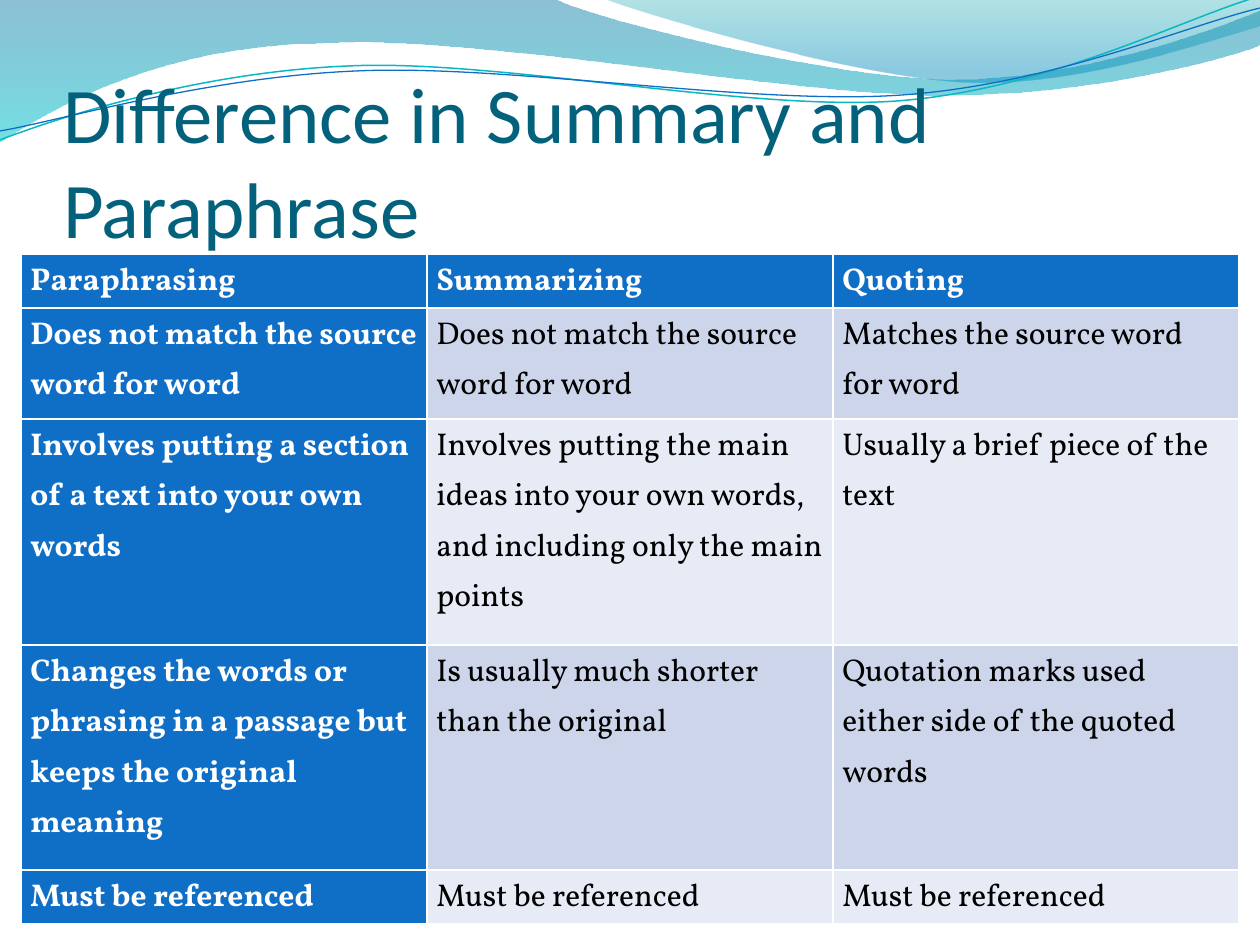
import math

from lxml import etree
from pptx import Presentation
from pptx.dml.color import RGBColor
from pptx.enum import text
from pptx.oxml import ns
from pptx.util import Pt

EMU_PER_PX = 914400 / 126

WHITE = RGBColor(0xFF, 0xFF, 0xFF)
BLACK = RGBColor(0, 0, 0)
BLUE = RGBColor(0x0F, 0x6F, 0xC6)
TEAL = RGBColor(0x0A, 0xB8, 0xBF)
TITLE_COLOR = RGBColor(0x04, 0x61, 0x7B)
BANDS = [RGBColor(0xCC, 0xD5, 0xEA), RGBColor(0xE7, 0xEB, 0xF5)]

TITLE = "Difference in Summary and Paraphrase"
ROWS = [
    ("Paraphrasing", "Summarizing", "Quoting"),
    ("Does not match the source word for word",
     "Does not match the source word for word",
     "Matches the source word for word"),
    ("Involves putting a section of a text into your own words",
     "Involves putting the main ideas into your own words, and including only the main points",
     "Usually a brief piece of the text"),
    ("Changes the words or phrasing in a passage but keeps the original meaning",
     "Is usually much shorter than the original",
     "Quotation marks used either side of the quoted words"),
    ("Must be referenced",) * 3,
]
TABLE_LEFT, TABLE_TOP, COLUMN_WIDTH = 21, 254, 406
ROW_HEIGHTS = [54, 111, 226, 225, 54]

# Outlines in px: a single pair is a straight step, three pairs are a Bezier curve.
# Gradient stops: position, colour, opacity in percent.
WAVES = [
    {"start": (0, 0),
     "steps": [[(554, -1)],
               [(600, 21), (837, 79), (955, 79)],
               [(1075, 79), (1207, 33), (1260, 11)],
               [(1261, 45)],
               [(1239, 55), (1096, 96), (940, 95)],
               [(783, 95), (481, 35), (324, 43)],
               [(163, 45), (58, 105), (-1, 142)],
               [(0, 0)]],
     "stops": [(0, RGBColor(0x00, 0x74, 0xA1), 45), (1, RGBColor(0x00, 0xC6, 0xCF), 55)]},
    {"start": (604, -1),
     "steps": [[(641, 14), (859, 78), (969, 82)],
               [(1079, 86), (1211, 40), (1260, 26)],
               [(1260, 0)],
               [(604, -1)]],
     "stops": [(0, RGBColor(0x00, 0xA1, 0xA9), 30), (0.8, RGBColor(0x00, 0x8B, 0xBF), 45)]},
    {"start": (0, 140),
     "steps": [[(60, 117), (199, 72), (349, 66)],
               [(498, 59), (747, 112), (898, 101)],
               [(1050, 89), (1182, 19), (1257, -3)]],
     "line": (TEAL, 0.85), "rotation": 357.3},
    {"start": (0, 131),
     "steps": [[(59, 121), (207, 77), (357, 71)],
               [(508, 64), (753, 106), (903, 95)],
               [(1053, 84), (1185, 26), (1260, 8)]],
     "line": (BLUE, 0.75), "rotation": 357.3},
]


def px(value):
    return round(value * EMU_PER_PX)


def turn(point, degrees):
    """Turn a point clockwise about the slide's top left corner."""
    x, y = point
    cos, sin = math.cos(math.radians(degrees)), math.sin(math.radians(degrees))
    return x * cos - y * sin, x * sin + y * cos


def bend(shape, steps):
    """Join each run of three straight segments that stands for a curve."""
    segments = iter(list(shape._element.iter(ns.qn("a:lnTo"))))
    for step in steps:
        parts = [next(segments) for _ in step]
        if len(step) == 3:
            curve = etree.Element(ns.qn("a:cubicBezTo"))
            parts[0].addprevious(curve)
            for part in parts:
                curve.append(part[0])
                part.getparent().remove(part)


def add_wave(slide, wave):
    rotation = wave.get("rotation", 0)
    points = [wave["start"]] + [point for step in wave["steps"] for point in step]
    points = [tuple(map(px, turn(point, -rotation))) for point in points]
    builder = slide.shapes.build_freeform(*points[0], scale=1.0)
    builder.add_line_segments(points[1:], close="stops" in wave)
    shape = builder.convert_to_shape()
    bend(shape, wave["steps"])
    shape.shadow.inherit = False
    if "line" in wave:
        center = shape.left + shape.width / 2, shape.top + shape.height / 2
        x, y = turn(center, rotation)
        shape.left, shape.top = round(x - shape.width / 2), round(y - shape.height / 2)
        shape.rotation = rotation
        color, width = wave["line"]
        shape.fill.background()
        shape.line.color.rgb = color
        shape.line.width = Pt(width)
        return
    shape.line.fill.background()
    shape.fill.gradient()
    shape.fill.gradient_angle = 270
    for stop, (position, color, _) in zip(shape.fill.gradient_stops, wave["stops"]):
        stop.position = position
        stop.color.rgb = color
    colors = shape._element.spPr.iter(ns.qn("a:srgbClr"))
    for element, (_, _, opacity) in zip(colors, wave["stops"]):
        etree.SubElement(element, ns.qn("a:alpha"), val=str(opacity * 1000))


def format_font(font, color, **settings):
    font.color.rgb = color
    for name, value in settings.items():
        setattr(font, name, value)


def add_title(slide):
    title = slide.shapes.title
    slide.shapes._spTree.append(title._element)  # in front of the waves
    title.left, title.top, title.width, title.height = map(px, (63, 97, 1134, 157))
    frame = title.text_frame
    frame.text = TITLE
    settings = {"margin_left": 0, "margin_top": px(6), "margin_right": 0,
                "margin_bottom": 0, "word_wrap": True,
                "auto_size": text.MSO_AUTO_SIZE.NONE,
                "vertical_anchor": text.MSO_ANCHOR.BOTTOM}
    for name, value in settings.items():
        setattr(frame, name, value)
    paragraph = frame.paragraphs[0]
    paragraph.alignment = text.PP_ALIGN.LEFT
    format_font(paragraph.runs[0].font, name="Calibri", size=Pt(45), color=TITLE_COLOR)


def add_table(slide):
    """Add the table; its default style draws the white borders."""
    columns = len(ROWS[0])
    table = slide.shapes.add_table(
        len(ROWS), columns, px(TABLE_LEFT), px(TABLE_TOP),
        px(COLUMN_WIDTH * columns), px(sum(ROW_HEIGHTS))).table
    table.first_col = True
    for column in table.columns:
        column.width = px(COLUMN_WIDTH)
    for r, (words, height) in enumerate(zip(ROWS, ROW_HEIGHTS)):
        table.rows[r].height = px(height)
        for c, word in enumerate(words):
            cell = table.cell(r, c)
            heading = r == 0 or c == 0
            cell.margin_left = cell.margin_right = Pt(5.4)
            cell.margin_top = cell.margin_bottom = 0
            cell.fill.solid()
            cell.fill.fore_color.rgb = BLUE if heading else BANDS[(r - 1) % 2]
            cell.text = word
            paragraph = cell.text_frame.paragraphs[0]
            paragraph.line_spacing = 1.15
            format_font(paragraph.runs[0].font, name="Vollkorn", size=Pt(18),
                        bold=heading, color=WHITE if heading else BLACK)


def main():
    presentation = Presentation()
    presentation.slide_width, presentation.slide_height = px(1260), px(945)
    slide = presentation.slides.add_slide(presentation.slide_layouts[5])
    for wave in WAVES:
        add_wave(slide, wave)
    add_title(slide)
    add_table(slide)
    presentation.save("out.pptx")


if __name__ == "__main__":
    main()
